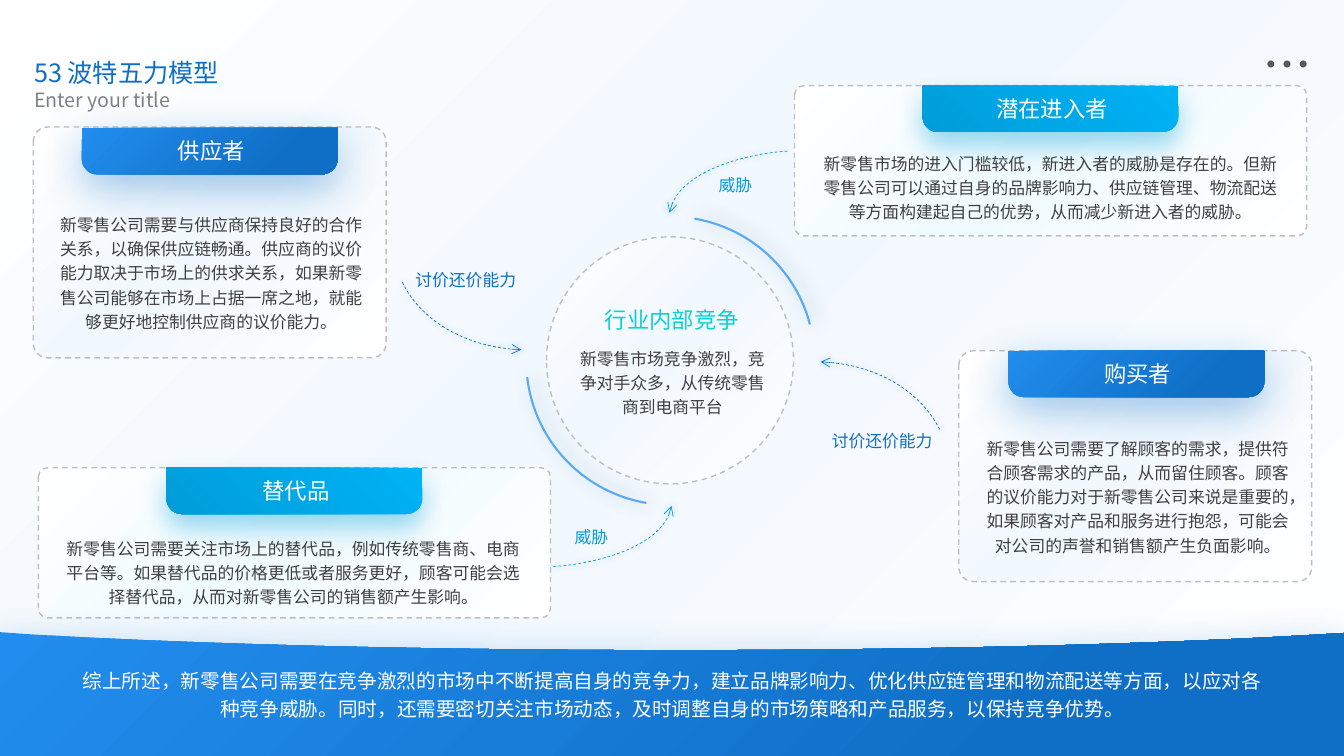
from lxml import etree
from pptx import Presentation
from pptx.dml.color import RGBColor
from pptx.enum.dml import MSO_LINE
from pptx.enum.shapes import MSO_SHAPE
from pptx.enum.text import MSO_ANCHOR, PP_ALIGN
from pptx.oxml.ns import qn
from pptx.util import Inches, Pt

FONT = "Noto Sans CJK SC"
WHITE = RGBColor(0xFF, 0xFF, 0xFF)
BLUE = RGBColor(0x0F, 0x6F, 0xC6)
BRIGHT = RGBColor(0x22, 0x8D, 0xEE)
CYAN = RGBColor(0x00, 0x9D, 0xD9)
SKY = RGBColor(0x00, 0xB2, 0xF6)
TEAL = RGBColor(0x0B, 0xD0, 0xD9)
ARC_BLUE = RGBColor(0x59, 0xAA, 0xF2)
NAVY = RGBColor(0x08, 0x37, 0x63)
PALE = RGBColor(0xF1, 0xF8, 0xFE)
PALE_CYAN = RGBColor(0xF0, 0xFB, 0xFF)
BORDER = RGBColor(0xBF, 0xBF, 0xBF)
GREY = RGBColor(0x80, 0x80, 0x80)
DOT = RGBColor(0x59, 0x59, 0x59)
INK = RGBColor(0x40, 0x40, 0x40)

TOP_LEFT = (0, 0, 100, 100)
PALE_GLOW = ([(0, WHITE), (46, PALE), (100, WHITE)], TOP_LEFT)
CYAN_GLOW = ([(0, WHITE), (46, PALE_CYAN), (100, WHITE)], TOP_LEFT)
BLUE_TAB = ([(23, BLUE), (100, BRIGHT)], (100, 100, 0, 0))
CYAN_TAB = ([(0, CYAN), (100, SKY)], (0, 100, 100, 0))
BLUE_SHADOW = (BLUE, 32.4, 9.7, 90)
CYAN_SHADOW = (CYAN, 20, 9.7, 90)
CARD_EDGE = (BORDER, 1, True)

prs = Presentation()
prs.slide_width, prs.slide_height = Inches(13.33), Inches(7.5)
slide = prs.slides.add_slide(prs.slide_layouts[6])
shapes = slide.shapes


def style(shape, glow=None, edge=None, shadow=None):
    shape.shadow.inherit = False
    shape.fill.background()
    shape.line.fill.background()
    props = shape._element.spPr
    if glow:
        stops, focus = glow
        blank = props.find(qn("a:noFill"))
        grad = etree.Element(qn("a:gradFill"), rotWithShape="1")
        stop_list = etree.SubElement(grad, qn("a:gsLst"))
        for position, color in stops:
            stop = etree.SubElement(stop_list, qn("a:gs"), pos=str(position * 1000))
            etree.SubElement(stop, qn("a:srgbClr"), val=str(color))
        circle = etree.SubElement(grad, qn("a:path"), path="circle")
        sides = {side: str(value * 1000) for side, value in zip("ltrb", focus)}
        etree.SubElement(circle, qn("a:fillToRect"), sides)
        props.replace(blank, grad)
    if edge:
        color, width, dashed = edge
        shape.line.color.rgb = color
        shape.line.width = Pt(width)
        if dashed:
            shape.line.dash_style = MSO_LINE.DASH
    if shadow:
        color, blur, distance, angle = shadow
        outer = etree.SubElement(
            props.find(qn("a:effectLst")), qn("a:outerShdw"),
            blurRad=str(Pt(blur)), dist=str(Pt(distance)),
            dir=str(angle * 60000), rotWithShape="0")
        tint = etree.SubElement(outer, qn("a:srgbClr"), val=str(color))
        etree.SubElement(tint, qn("a:alpha"), val="40000")


def write(text, box, size, color, align=PP_ALIGN.CENTER, body=False):
    frame = shapes.add_textbox(*map(Inches, box)).text_frame
    frame.word_wrap = True
    frame.vertical_anchor = MSO_ANCHOR.MIDDLE
    paragraph = frame.paragraphs[0]
    paragraph.alignment = align
    if body:
        paragraph.line_spacing = Pt(size * 1.44)
    run = paragraph.add_run()
    run.text = text
    run.font.size = Pt(size)
    run.font.name = FONT
    run.font.color.rgb = color
    etree.SubElement(run._r.get_or_add_rPr(), qn("a:ea"), typeface=FONT)


backdrop = shapes.add_shape(MSO_SHAPE.RECTANGLE, 0, 0, Inches(13.35), Inches(7.5))
style(backdrop, PALE_GLOW)

for column in range(3):
    dot = shapes.add_shape(MSO_SHAPE.OVAL, Inches(12.57 + 0.16 * column),
                           Inches(0.6), Inches(0.07), Inches(0.07))
    style(dot)
    dot.fill.solid()
    dot.fill.fore_color.rgb = DOT

for start, end in [(279.6, 345.4), (99.6, 173.5)]:
    arc = shapes.add_shape(MSO_SHAPE.ARC, Inches(5.22), Inches(2.15),
                           Inches(2.86), Inches(2.86))
    arc.adjustments[0] = start * 0.6
    arc.adjustments[1] = end * 0.6
    style(arc, edge=(ARC_BLUE, 1.5, False), shadow=(NAVY, 15, 3, 0))

rivalry = shapes.add_shape(MSO_SHAPE.OVAL, Inches(5.42), Inches(2.35),
                           Inches(2.45), Inches(2.45))
style(rivalry, PALE_GLOW, CARD_EDGE)

WIDE, TALL = (5.08, 1.49), (3.5, 2.29)
WIDE_TEXT, TALL_TEXT = (4.86, 0.81), (3.21, 1.3)
forces = [
    ("潜在进入者", (7.88, 0.85), WIDE, (9.15, 0.85), (7.99, 1.44), WIDE_TEXT,
     CYAN_GLOW, CYAN_TAB, CYAN_SHADOW,
     "新零售市场的进入门槛较低，新进入者的威胁是存在的。但新零售公司可以通过自身的品牌影响力、供应链管理、物流配送等方面构建起自己的优势，从而减少新进入者的威胁。"),
    ("替代品", (0.38, 4.64), WIDE, (1.65, 4.64), (0.48, 5.26), WIDE_TEXT,
     CYAN_GLOW, CYAN_TAB, CYAN_SHADOW,
     "新零售公司需要关注市场上的替代品，例如传统零售商、电商平台等。如果替代品的价格更低或者服务更好，顾客可能会选择替代品，从而对新零售公司的销售额产生影响。"),
    ("供应者", (0.33, 1.26), TALL, (0.81, 1.27), (0.49, 2.04), TALL_TEXT,
     PALE_GLOW, BLUE_TAB, BLUE_SHADOW,
     "新零售公司需要与供应商保持良好的合作关系，以确保供应链畅通。供应商的议价能力取决于市场上的供求关系，如果新零售公司能够在市场上占据一席之地，就能够更好地控制供应商的议价能力。"),
    ("购买者", (9.51, 3.48), TALL, (10, 3.48), (9.68, 4.26), TALL_TEXT,
     PALE_GLOW, BLUE_TAB, BLUE_SHADOW,
     "新零售公司需要了解顾客的需求，提供符合顾客需求的产品，从而留住顾客。顾客的议价能力对于新零售公司来说是重要的，如果顾客对产品和服务进行抱怨，可能会对公司的声誉和销售额产生负面影响。"),
]

wave = [(-0.02, 6.27), (0.25, 6.29), (1.9, 6.39), (4.18, 6.45), (6.7, 6.45),
        (9.23, 6.45), (11.51, 6.39), (13.16, 6.29), (13.33, 6.28),
        (13.33, 7.5), (-0.02, 7.5)]
tab = [(0, 0), (2.54, 0), (2.54, 0.3), (2.54, 0.39), (2.47, 0.46), (2.38, 0.46),
       (0.15, 0.46), (0.07, 0.46), (0, 0.39), (0, 0.3)]
outlines = [(wave, "LCCLLL", BLUE_TAB, None, BLUE_SHADOW)]

for name, corner, size, tab_at, text_at, text_size, glow, tab_glow, shadow, text in forces:
    card = shapes.add_shape(MSO_SHAPE.ROUNDED_RECTANGLE, *map(Inches, corner + size))
    card.adjustments[0] = 0.063
    style(card, glow, CARD_EDGE)
    placed = [(tab_at[0] + x, tab_at[1] + y) for x, y in tab]
    outlines.append((placed, "LLCLC", tab_glow, None, shadow))

arrows = [
    (BLUE, [(3.99, 2.8), (4.17, 3.17), (4.63, 3.45), (5.17, 3.47)]),
    (BLUE, [(9.32, 4.26), (9.13, 3.89), (8.68, 3.61), (8.14, 3.59)]),
    (CYAN, [(7.81, 1.5), (7.54, 1.51), (6.72, 1.66), (6.64, 2.11)]),
    (CYAN, [(5.49, 5.62), (5.75, 5.61), (6.58, 5.47), (6.66, 5.02)]),
]
for color, points in arrows:
    outlines.append((points, "C", None, (color, 0.5, True), (BLUE, 5, 0, 0)))

for points, steps, glow, edge, shadow in outlines:
    corners = [(Inches(x), Inches(y)) for x, y in points]
    builder = shapes.build_freeform(*corners[0])
    builder.add_line_segments(corners[1:], close=edge is None)
    outline = builder.convert_to_shape()
    segments = iter(list(outline._element.iter(qn("a:lnTo"))))
    for step in steps:
        segment = next(segments)
        if step == "C":
            segment.tag = qn("a:cubicBezTo")
            for extra in (next(segments), next(segments)):
                segment.append(extra[0])
                extra.getparent().remove(extra)
    style(outline, glow, edge, shadow)
    if edge:
        etree.SubElement(outline.line._get_or_add_ln(), qn("a:tailEnd"), type="arrow")

for name, corner, size, tab_at, text_at, text_size, glow, tab_glow, shadow, text in forces:
    write(name, (tab_at[0] + 0.36, tab_at[1] + 0.04, 1.85, 0.37), 16, WHITE)
    write(text, text_at + text_size, 12, INK, body=True)

write("53 波特五力模型", (0.24, 0.52, 4.66, 0.4), 18, BLUE, PP_ALIGN.LEFT)
write("Enter your title", (0.24, 0.82, 2.86, 0.34), 14, GREY, PP_ALIGN.LEFT)
write("行业内部竞争", (5.74, 2.99, 1.85, 0.37), 16, TEAL)
write("新零售市场竞争激烈，竞争对手众多，从传统零售商到电商平台",
      (5.62, 3.37, 2.1, 0.81), 12, INK, body=True)
write("综上所述，新零售公司需要在竞争激烈的市场中不断提高自身的竞争力，建立品牌影响力、优化供应链管理和物流配送等方面，以应对各种竞争威胁。同时，还需要密切关注市场动态，及时调整自身的市场策略和产品服务，以保持竞争优势。",
      (0.67, 6.54, 12, 0.65), 14, WHITE, body=True)

for label, left, top, color, align in [
    ("讨价还价能力", 3.9, 2.63, BLUE, PP_ALIGN.CENTER),
    ("讨价还价能力", 8.03, 4.22, BLUE, PP_ALIGN.CENTER),
    ("威胁", 7.03, 1.68, CYAN, PP_ALIGN.LEFT),
    ("威胁", 4.69, 5.18, CYAN, PP_ALIGN.RIGHT),
]:
    write(label, (left, top, 1.44, 0.3), 12, color, align)

prs.save("out.pptx")
